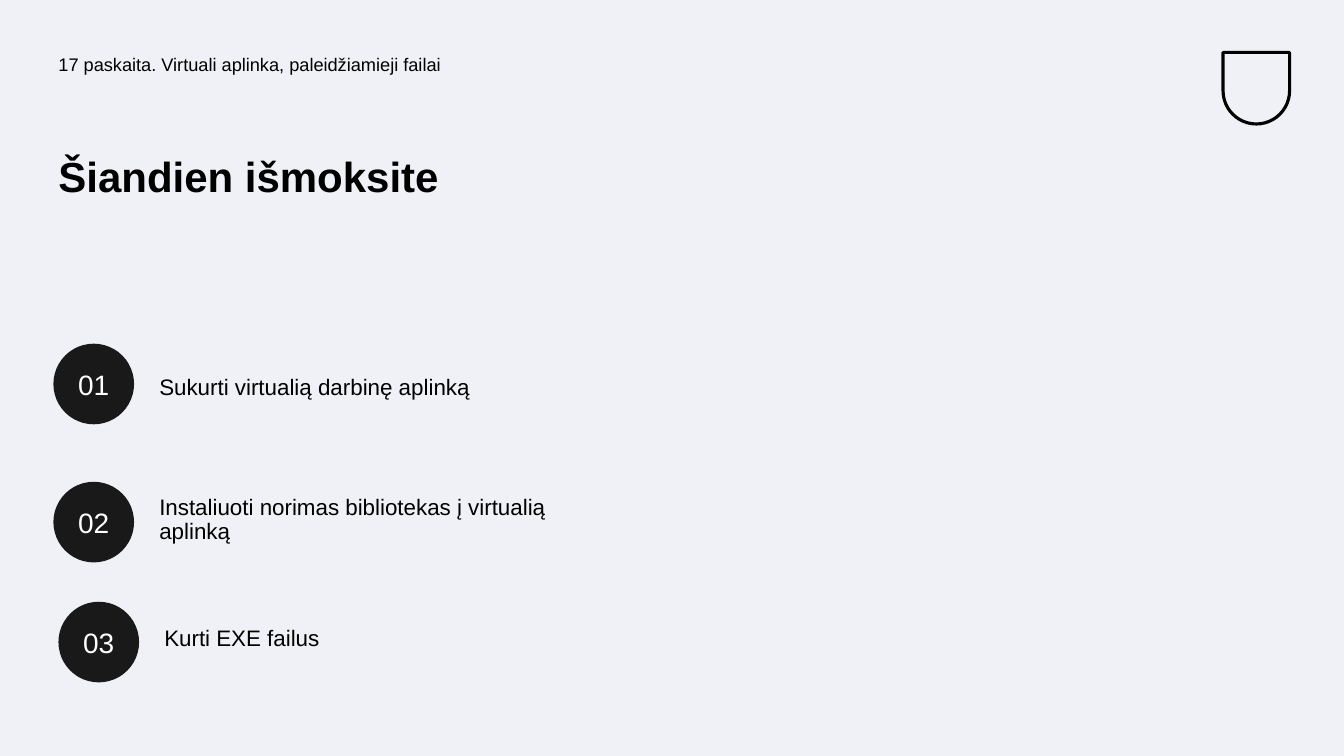
import pptx
import pptx.util
import pptx.dml.color
import pptx.enum.shapes
import pptx.enum.text
from dataclasses import dataclass

Inches = pptx.util.Inches
Pt = pptx.util.Pt
Align = pptx.enum.text.PP_ALIGN
Anchor = pptx.enum.text.MSO_ANCHOR
Shape = pptx.enum.shapes.MSO_SHAPE


@dataclass(frozen=True)
class Theme:
    font: str = "Arial"
    paper: str = "F0F1F6"
    ink: str = "000000"
    disc: str = "191919"
    disc_text: str = "FEFFFF"
    header_size: int = 13
    title_size: int = 30
    item_size: int = 16
    number_size: int = 20
    inset: float = 0.05


THEME = Theme()

# Each goal: number, text, left and top of its row, drop of the text below the row top
GOALS = [
    ("01", "Sukurti virtualią darbinę aplinką", 0.53, 3.41, 0.27),
    ("02", "Instaliuoti norimas bibliotekas į virtualią aplinką", 0.53, 4.78, 0.09),
    ("03", "Kurti EXE failus", 0.58, 5.97, 0.20),
]


def color(value):
    return pptx.dml.color.RGBColor.from_string(value)


def apply(target, values):
    for name, value in values.items():
        setattr(target, name, value)


def place(shape, box):
    apply(shape, dict(zip(("left", "top", "width", "height"), map(Inches, box))))


def write(shape, text, size, ink=THEME.ink, bold=False, align=Align.LEFT,
          anchor=Anchor.TOP, spacing=0.9, inset=THEME.inset):
    frame = shape.text_frame
    sides = ("margin_left", "margin_top", "margin_right", "margin_bottom")
    apply(frame, {side: Inches(inset) for side in sides})
    apply(frame, {"word_wrap": True, "vertical_anchor": anchor,
                  "auto_size": pptx.enum.text.MSO_AUTO_SIZE.NONE})
    para = frame.paragraphs[0]
    apply(para, {"alignment": align, "line_spacing": spacing, "space_before": Pt(0)})
    span = para.add_run()
    span.text = text
    apply(span.font, {"name": THEME.font, "size": Pt(size), "bold": bold})
    span.font.color.rgb = color(ink)


def add_text(page, box, text, size):
    write(page.shapes.add_textbox(*map(Inches, box)), text, size)


def add_title(page, box, text):
    title = page.shapes.title
    place(title, box)
    write(title, text, THEME.title_size, bold=True)


def add_badge(page, box):
    # Plain shield outline, rounded at the bottom
    badge = page.shapes.add_shape(Shape.ROUND_2_SAME_RECTANGLE, *map(Inches, box))
    badge.adjustments[0] = 0.5
    badge.rotation = 180
    badge.shadow.inherit = False
    badge.fill.background()
    badge.line.color.rgb = color(THEME.ink)
    badge.line.width = Pt(2.25)


def add_goal(page, box, number, text, drop):
    left, top, width, height = box
    # Numbered disc
    disc = page.shapes.add_shape(Shape.OVAL, *map(Inches, (left, top, height, height)))
    disc.shadow.inherit = False
    disc.fill.solid()
    disc.fill.fore_color.rgb = color(THEME.disc)
    disc.line.fill.background()
    write(disc, number, THEME.number_size, THEME.disc_text, align=Align.CENTER,
          anchor=Anchor.MIDDLE, spacing=1.0, inset=0)
    # Goal text, to the right of the disc
    indent = height + 0.2
    add_text(page, (left + indent, top + drop, width - indent, 0.5), text, THEME.item_size)


def add_goals_page(deck):
    page = deck.slides.add_slide(deck.slide_layouts[5])
    page.background.fill.solid()
    page.background.fill.fore_color.rgb = color(THEME.paper)
    # Header
    add_badge(page, (12.13, 0.52, 0.66, 0.71))
    add_text(page, (0.53, 0.5, 6.14, 0.49),
             "17 paskaita. Virtuali aplinka, paleidžiamieji failai", THEME.header_size)
    add_title(page, (0.53, 1.5, 5.63, 1.49), "Šiandien išmoksite")
    # Learning goals
    for number, text, left, top, drop in GOALS:
        add_goal(page, (left, top, 5.63, 0.8), number, text, drop)


def main():
    deck = pptx.Presentation()
    apply(deck, {"slide_width": Inches(13.33), "slide_height": Inches(7.5)})
    add_goals_page(deck)
    deck.save("out.pptx")


if __name__ == "__main__":
    main()
